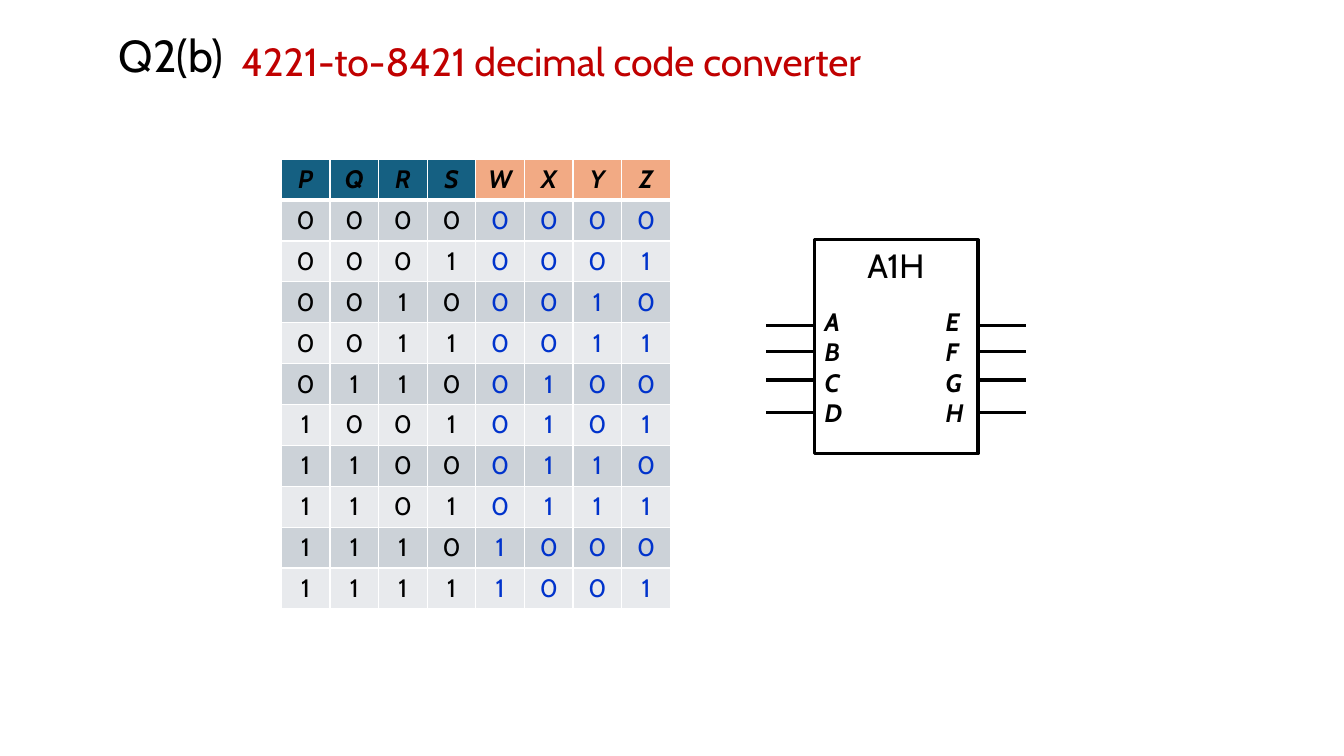
import pptx
import pptx.dml.color
import pptx.enum.shapes
import pptx.enum.text
import pptx.oxml
import pptx.oxml.ns
import pptx.util
import lxml.etree

Inches = pptx.util.Inches
FONT = "Cabin"
COLORS = {
    "black": "000000",
    "white": "FFFFFF",
    "red": "C00000",
    "output_digit": "0033CC",
    "input_header": "156082",
    "output_header": "F2AA84",
    "odd_row": "CCD2D8",
    "even_row": "E8EAED",
}
INPUT_COUNT = 4
HEADERS = "PQRSWXYZ"
CODES_4221 = ["0000", "0001", "0010", "0011", "0110",
              "1001", "1100", "1101", "1110", "1111"]
LEFT = pptx.enum.text.PP_ALIGN.LEFT
CENTER = pptx.enum.text.PP_ALIGN.CENTER


def rgb(name):
    return pptx.dml.color.RGBColor.from_string(COLORS[name])


def add_run(paragraph, text, size, color="black", emphasis=False):
    run = paragraph.add_run()
    run.text = text
    run.font.name = FONT
    run.font.size = pptx.util.Pt(size)
    run.font.color.rgb = rgb(color)
    run.font.bold = emphasis
    run.font.italic = emphasis


def add_text(shapes, box, lines, size, color="black", emphasis=False,
             alignment=LEFT, line_spacing=None):
    shape = shapes.add_textbox(*[Inches(length) for length in box])
    frame = shape.text_frame
    frame.word_wrap = True
    for index, line in enumerate(lines):
        paragraph = frame.add_paragraph() if index else frame.paragraphs[0]
        paragraph.alignment = alignment
        paragraph.line_spacing = line_spacing
        add_run(paragraph, line, size, color, emphasis)


def set_borders(cell, bottom_width):
    properties = cell._tc.get_or_add_tcPr()
    widths = {"lnL": 1, "lnR": 1, "lnT": 1, "lnB": bottom_width}
    for index, (tag, width) in enumerate(widths.items()):
        border = pptx.oxml.parse_xml(
            f'<a:{tag} {pptx.oxml.ns.nsdecls("a")} w="{pptx.util.Pt(width)}">'
            f'<a:solidFill><a:srgbClr val="{COLORS["white"]}"/></a:solidFill></a:{tag}>')
        properties.insert(index, border)


def add_heading(slide, left, top):
    add_text(slide.shapes, (left + 1.21, top + 0.03, 6.35, 0.57),
             ["4221-to-8421 decimal code converter"], 28, "red", alignment=CENTER)
    add_text(slide.shapes, (left, top, 1.34, 0.63), ["Q2(b)"], 32, line_spacing=0.9)


def add_truth_table(slide, left, top, width, height):
    rows = [HEADERS] + [code + f"{digit:04b}" for digit, code in enumerate(CODES_4221)]
    frame = slide.shapes.add_table(len(rows), len(HEADERS), Inches(left), Inches(top),
                                   Inches(width), Inches(height))
    for row_index, row in enumerate(rows):
        is_header = row_index == 0
        for column_index, text in enumerate(row):
            is_input = column_index < INPUT_COUNT
            if is_header:
                fill = "input_header" if is_input else "output_header"
            else:
                fill = "odd_row" if row_index % 2 else "even_row"
            color = "black" if is_header or is_input else "output_digit"
            cell = frame.table.cell(row_index, column_index)
            cell.fill.solid()
            cell.fill.fore_color.rgb = rgb(fill)
            set_borders(cell, 3 if is_header else 1)
            paragraph = cell.text_frame.paragraphs[0]
            paragraph.alignment = CENTER
            add_run(paragraph, text, 18, color, emphasis=is_header)


def add_wire(shapes, left, y, length):
    wire = shapes.add_connector(pptx.enum.shapes.MSO_CONNECTOR.STRAIGHT, Inches(left),
                                Inches(y), Inches(left + length), Inches(y))
    wire.line.color.rgb = rgb("black")
    wire.line.width = pptx.util.Pt(2.25)
    lxml.etree.SubElement(wire._element.spPr, pptx.oxml.ns.qn("a:effectLst"))


def add_converter_block(slide, left, top, width, height):
    wire_length = 0.48
    wire_offsets = [0.85, 1.11, 1.39, 1.71]
    shapes = slide.shapes.add_group_shape().shapes
    block = shapes.add_shape(pptx.enum.shapes.MSO_SHAPE.RECTANGLE, Inches(left),
                             Inches(top), Inches(width), Inches(height))
    block.shadow.inherit = False
    block.fill.background()
    block.line.color.rgb = rgb("black")
    block.line.width = pptx.util.Pt(2.25)
    add_text(shapes, (left + 0.25, top, 1.11, 0.5), ["A1H"], 24, alignment=CENTER)
    for pins, pin_left in (("ABCD", left), ("EFGH", left + 1.2)):
        add_text(shapes, (pin_left, top + 0.61, 0.53, 1.31), pins, 18, emphasis=True)
    for wire_left in (left - wire_length, left + width):
        for offset in wire_offsets:
            add_wire(shapes, wire_left, top + offset, wire_length)


def main():
    presentation = pptx.Presentation()
    presentation.slide_width = Inches(13.33)
    presentation.slide_height = Inches(7.5)
    slide = presentation.slides.add_slide(presentation.slide_layouts[6])
    add_truth_table(slide, 2.79, 1.58, 3.86, 4.4)
    add_converter_block(slide, 8.08, 2.38, 1.62, 2.12)
    add_heading(slide, 1.08, 0.29)
    presentation.save("out.pptx")


if __name__ == "__main__":
    main()
